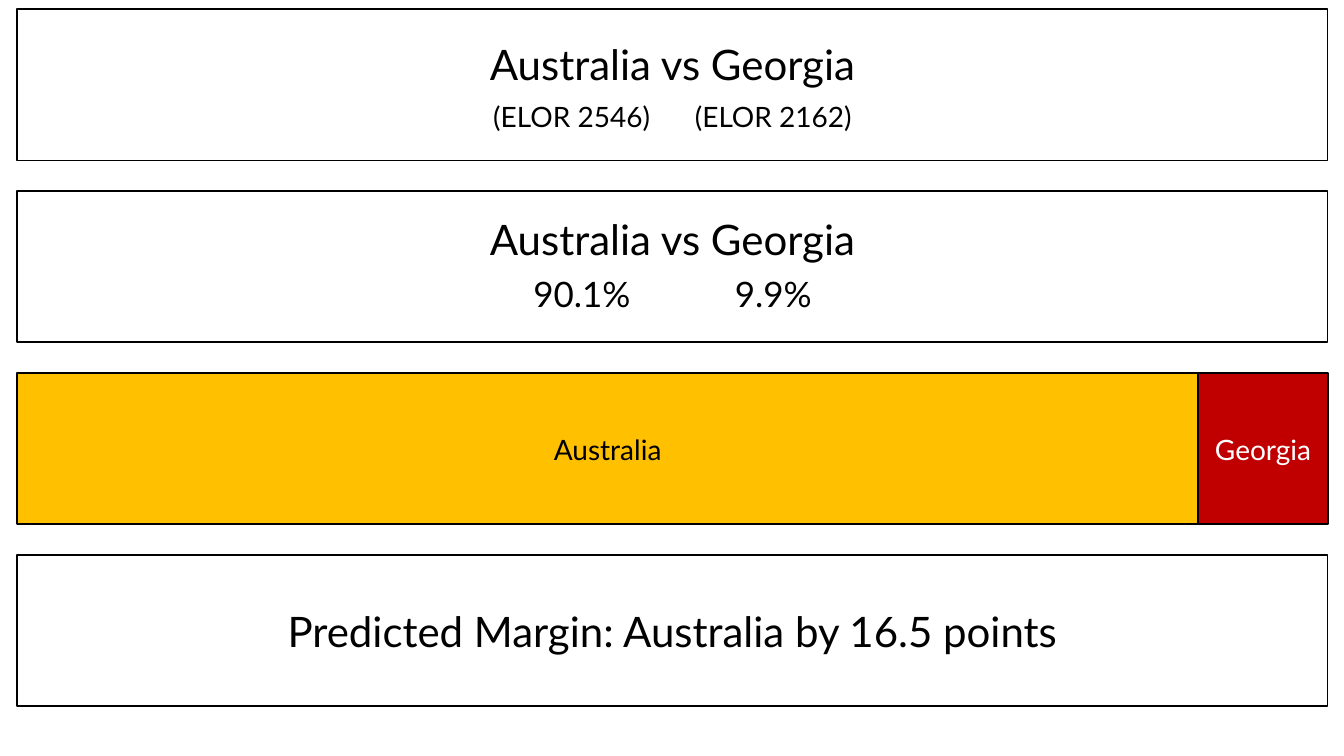
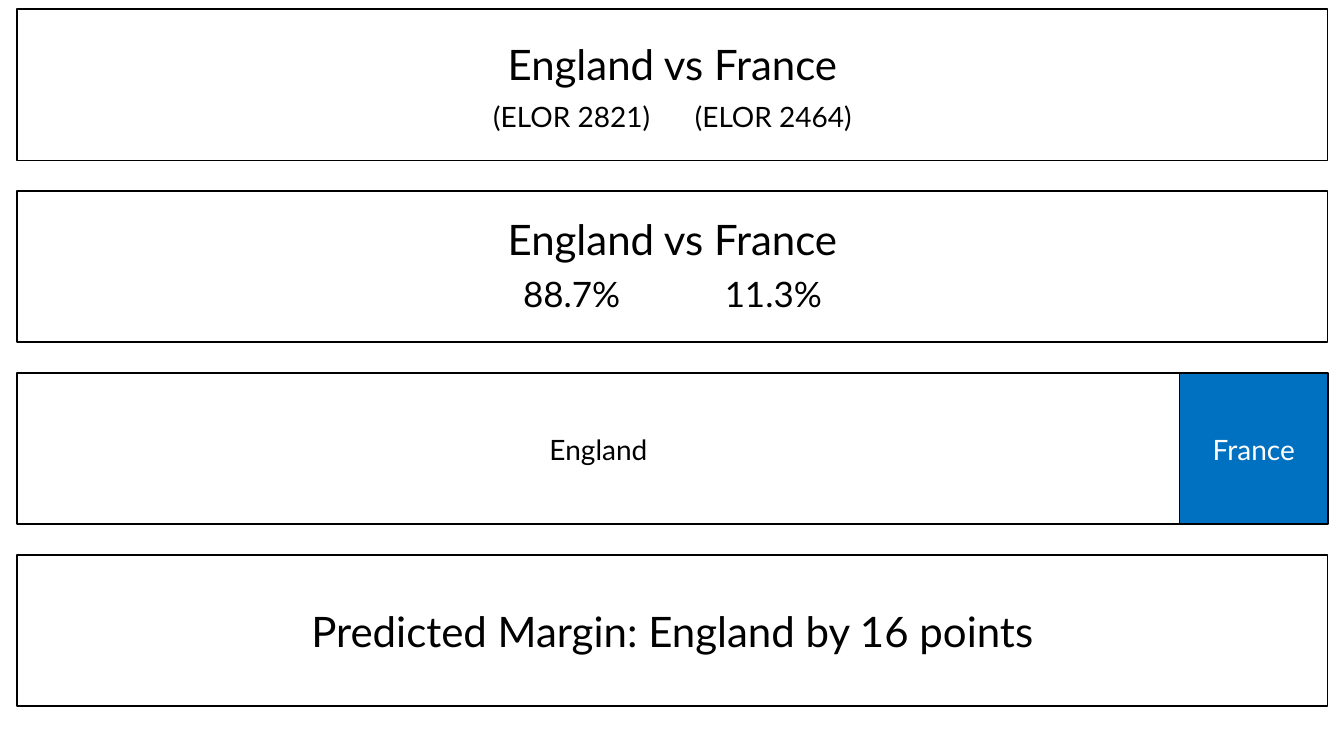
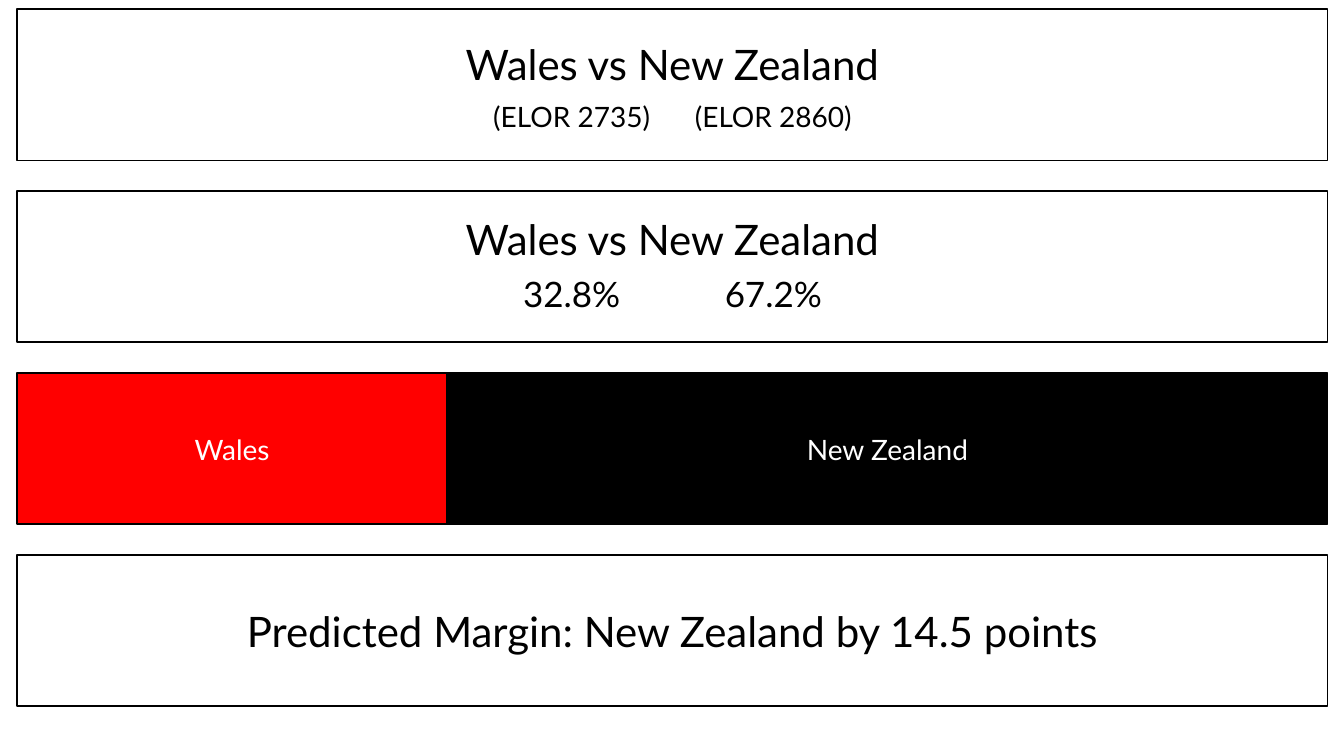
from dataclasses import dataclass

from lxml import etree
from pptx import Presentation
from pptx.dml.color import RGBColor
from pptx.enum.shapes import MSO_SHAPE
from pptx.enum.text import MSO_AUTO_SIZE, PP_ALIGN
from pptx.oxml.ns import qn
from pptx.util import Inches, Pt

RECTANGLE = MSO_SHAPE.RECTANGLE
CENTER = PP_ALIGN.CENTER
GROW = MSO_AUTO_SIZE.SHAPE_TO_FIT_TEXT


@dataclass(frozen=True)
class Theme:
    font: str = "Lato"
    heading: int = 30
    percent: int = 25
    label: int = 20
    line: int = 1
    black: str = "000000"
    white: str = "FFFFFF"
    gold: str = "FFC000"
    crimson: str = "C00000"
    blue: str = "0070C0"
    red: str = "FF0000"


@dataclass(frozen=True)
class Team:
    name: str
    rating: int
    chance: float
    fill: str
    ink: str


THEME = Theme()

# Panel grid, in inches
LEFT, TOP, WIDTH, HEIGHT = 0.17, 0.09, 13, 1.5
GAP = 0.305
RATING_Y, CHANCE_Y, BAR_Y, MARGIN_Y = (
    TOP + row * (HEIGHT + GAP) for row in range(4)
)
COLUMN_STEP = 2

MATCHES = [
    (Team("Australia", 2546, 90.1, THEME.gold, THEME.black),
     Team("Georgia", 2162, 9.9, THEME.crimson, THEME.white), 16.5),
    (Team("England", 2821, 88.7, THEME.white, THEME.black),
     Team("France", 2464, 11.3, THEME.blue, THEME.white), 16),
    (Team("Wales", 2735, 32.8, THEME.red, THEME.white),
     Team("New Zealand", 2860, 67.2, THEME.black, THEME.white), 14.5),
]


class Deck:
    def __init__(self, theme):
        self.theme = theme
        self.show = Presentation()
        self.show.slide_width = Inches(13.33)
        self.show.slide_height = Inches(7.5)
        self.slide = None

    def new_slide(self):
        self.slide = self.show.slides.add_slide(self.show.slide_layouts[6])

    def panel(self, top, left=LEFT, width=WIDTH, fill=THEME.white):
        box = self.slide.shapes.add_shape(
            RECTANGLE, Inches(left), Inches(top), Inches(width), Inches(HEIGHT))
        box.shadow.inherit = False
        box.fill.solid()
        box.fill.fore_color.rgb = RGBColor.from_string(fill)
        box.line.color.rgb = RGBColor.from_string(self.theme.black)
        box.line.width = Pt(self.theme.line)

    def text(self, words, top, size, left=LEFT, width=WIDTH, ink=THEME.black):
        caption = self.slide.shapes.add_textbox(
            Inches(left), Inches(top), Inches(width), Inches(0.1 + size * 0.017))
        frame = caption.text_frame
        frame.word_wrap = True
        frame.auto_size = GROW
        paragraph = frame.paragraphs[0]
        paragraph.alignment = CENTER
        run = paragraph.add_run()
        run.text = words
        formats = {"name": self.theme.font, "size": Pt(size)}
        for attribute, value in formats.items():
            setattr(run.font, attribute, value)
        run.font.color.rgb = RGBColor.from_string(ink)
        return paragraph

    def columns(self, home, away, top, size):
        """Two centred values, the second one tab stop after the first."""
        paragraph = self.text(f"{home}\t{away}", top, size)
        stops = etree.SubElement(paragraph._p.get_or_add_pPr(), qn("a:tabLst"))
        etree.SubElement(stops, qn("a:tab"),
                         pos=str(Inches(COLUMN_STEP)), algn="l")

    def share_bar(self, teams):
        left = LEFT
        for team in teams:
            width = WIDTH * team.chance / 100
            self.panel(BAR_Y, left, width, team.fill)
            self.text(team.name, BAR_Y + 0.54, self.theme.label,
                      left, width, team.ink)
            left += width

    def match(self, home, away, margin):
        theme = self.theme
        title = f"{home.name} vs {away.name}"
        self.new_slide()

        # Ratings
        self.panel(RATING_Y)
        self.text(title, RATING_Y + 0.24, theme.heading)
        self.columns(f"(ELOR {home.rating})", f"(ELOR {away.rating})",
                     RATING_Y + 0.85, theme.label)

        # Chances of winning
        self.panel(CHANCE_Y)
        self.text(title, CHANCE_Y + 0.17, theme.heading)
        self.columns(f"{home.chance}%", f"{away.chance}%",
                     CHANCE_Y + 0.76, theme.percent)
        self.share_bar((home, away))

        # Predicted margin
        winner = max(home, away, key=lambda team: team.chance)
        self.panel(MARGIN_Y)
        self.text(f"Predicted Margin: {winner.name} by {margin} points",
                  MARGIN_Y + 0.45, theme.heading)


def main():
    deck = Deck(THEME)
    for home, away, margin in MATCHES:
        deck.match(home, away, margin)
    deck.show.save("out.pptx")


if __name__ == "__main__":
    main()
